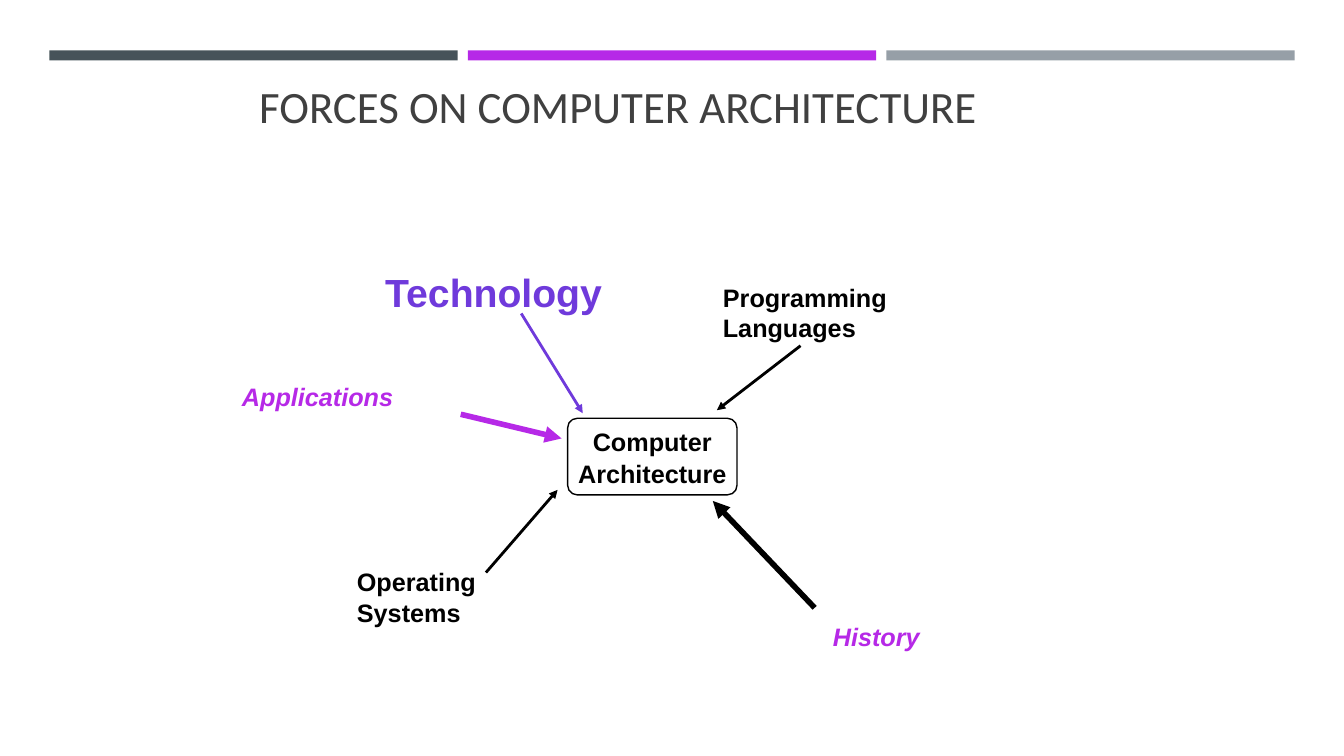
from lxml.etree import SubElement
from pptx import Presentation
from pptx.dml.color import RGBColor
from pptx.enum.shapes import MSO_CONNECTOR, MSO_SHAPE
from pptx.enum.text import MSO_ANCHOR, MSO_AUTO_SIZE, PP_ALIGN
from pptx.oxml.ns import qn
from pptx.util import Inches, Pt

COLORS = {
    "slate": "465359", "magenta": "B629E7", "gray": "969FA7",
    "title": "404040", "black": "000000", "violet": "6F3ADB",
}

# Content
TITLE = "FORCES ON COMPUTER ARCHITECTURE"
CENTER = ["Computer", "Architecture"]
BANDS = ["slate", "magenta", "gray"]
# text, (left, top, width, height), size, color, italic, line spacing
FORCES = [
    ("Technology", (3.75, 2.62, 2.32, 0.51), 28, "violet", False, 1.02),
    ("Programming", (7.1, 2.76, 1.78, 0.35), 18, "black", False, 1.02),
    ("Languages", (7.1, 3.06, 1.47, 0.35), 18, "black", False, 1.02),
    ("Operating", (3.47, 5.58, 1.33, 0.35), 18, "black", False, 1.02),
    ("Systems", (3.47, 5.89, 1.18, 0.35), 18, "black", False, 1.02),
    ("History", (8.19, 6.15, 1.01, 0.35), 18, "magenta", True, 0.97),
    ("Applications", (2.33, 3.75, 1.65, 0.35), 18, "magenta", True, 1.02),
]
# start, end, color, width
ARROWS = [
    ((4.57, 4.11), (5.57, 4.35), "magenta", 4),
    ((4.82, 5.68), (5.53, 4.86), "black", 2),
    ((5.17, 3.11), (5.78, 4.1), "violet", 2),
    ((7.94, 3.43), (7.11, 4.07), "black", 2),
    ((8.08, 6.03), (7.07, 4.97), "black", 4),
]


def rgb(name):
    return RGBColor.from_string(COLORS[name])


def inches(values):
    return [Inches(value) for value in values]


def write(shape, lines, size, color, font="Arial", bold=True, italic=False,
          spacing=1.0, align=PP_ALIGN.LEFT, anchor=MSO_ANCHOR.TOP):
    frame = shape.text_frame
    frame.word_wrap = False
    frame.auto_size = MSO_AUTO_SIZE.SHAPE_TO_FIT_TEXT
    frame.vertical_anchor = anchor
    frame.margin_left = frame.margin_right = Inches(0.07)
    frame.margin_top = frame.margin_bottom = Inches(0.03)
    for index, line in enumerate(lines):
        paragraph = frame.add_paragraph() if index else frame.paragraphs[0]
        paragraph.alignment = align
        paragraph.line_spacing = spacing
        run = paragraph.add_run()
        run.text = line
        run.font.name = font
        run.font.size = Pt(size)
        run.font.bold = bold
        run.font.italic = italic
        run.font.color.rgb = rgb(color)


def add_arrow(slide, start, end, color, width):
    arrow = slide.shapes.add_connector(
        MSO_CONNECTOR.STRAIGHT, *inches(start + end))
    arrow.line.color.rgb = rgb(color)
    arrow.line.width = Pt(width)
    SubElement(arrow.line._get_or_add_ln(), qn("a:tailEnd"), type="triangle")
    SubElement(arrow._element.spPr, qn("a:effectLst"))


def main():
    prs = Presentation()
    prs.slide_width, prs.slide_height = inches((13.33, 7.5))
    slide = prs.slides.add_slide(prs.slide_layouts[5])

    # Bands across the top
    for column, color in enumerate(BANDS):
        band = slide.shapes.add_shape(
            MSO_SHAPE.RECTANGLE, *inches((0.49 + 4.15 * column, 0.5, 4.05, 0.1)))
        band.shadow.inherit = False
        band.fill.solid()
        band.fill.fore_color.rgb = rgb(color)
        band.line.fill.background()

    # Title
    title = slide.shapes.title
    title.left, title.top, title.width, title.height = inches(
        (2.5, 0.75, 7.38, 0.59))
    write(title, [TITLE], 32, "title", font="Calibri", bold=False)

    # Central box
    center = slide.shapes.add_shape(
        MSO_SHAPE.ROUNDED_RECTANGLE, *inches((5.63, 4.15, 1.68, 0.76)))
    center.adjustments[0] = 0.125
    center.shadow.inherit = False
    center.fill.background()
    center.line.color.rgb = rgb("black")
    center.line.width = Pt(1)
    write(center, CENTER, 18, "black", spacing=1.06,
          align=PP_ALIGN.CENTER, anchor=MSO_ANCHOR.MIDDLE)

    # Forces and their arrows
    for text, place, size, color, italic, spacing in FORCES:
        label = slide.shapes.add_textbox(*inches(place))
        write(label, [text], size, color, italic=italic, spacing=spacing)
    for arrow in ARROWS:
        add_arrow(slide, *arrow)

    prs.save("out.pptx")


if __name__ == "__main__":
    main()
